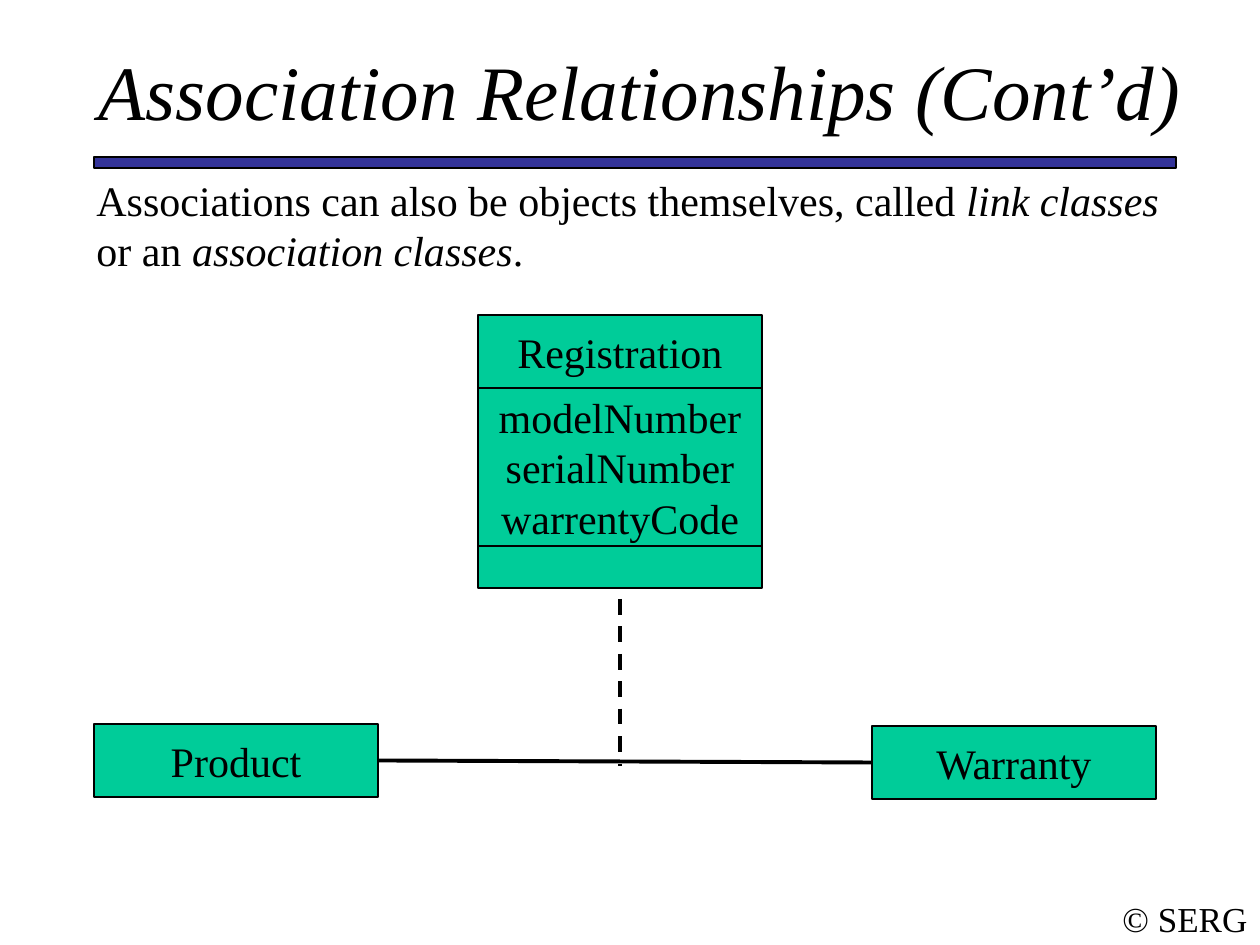
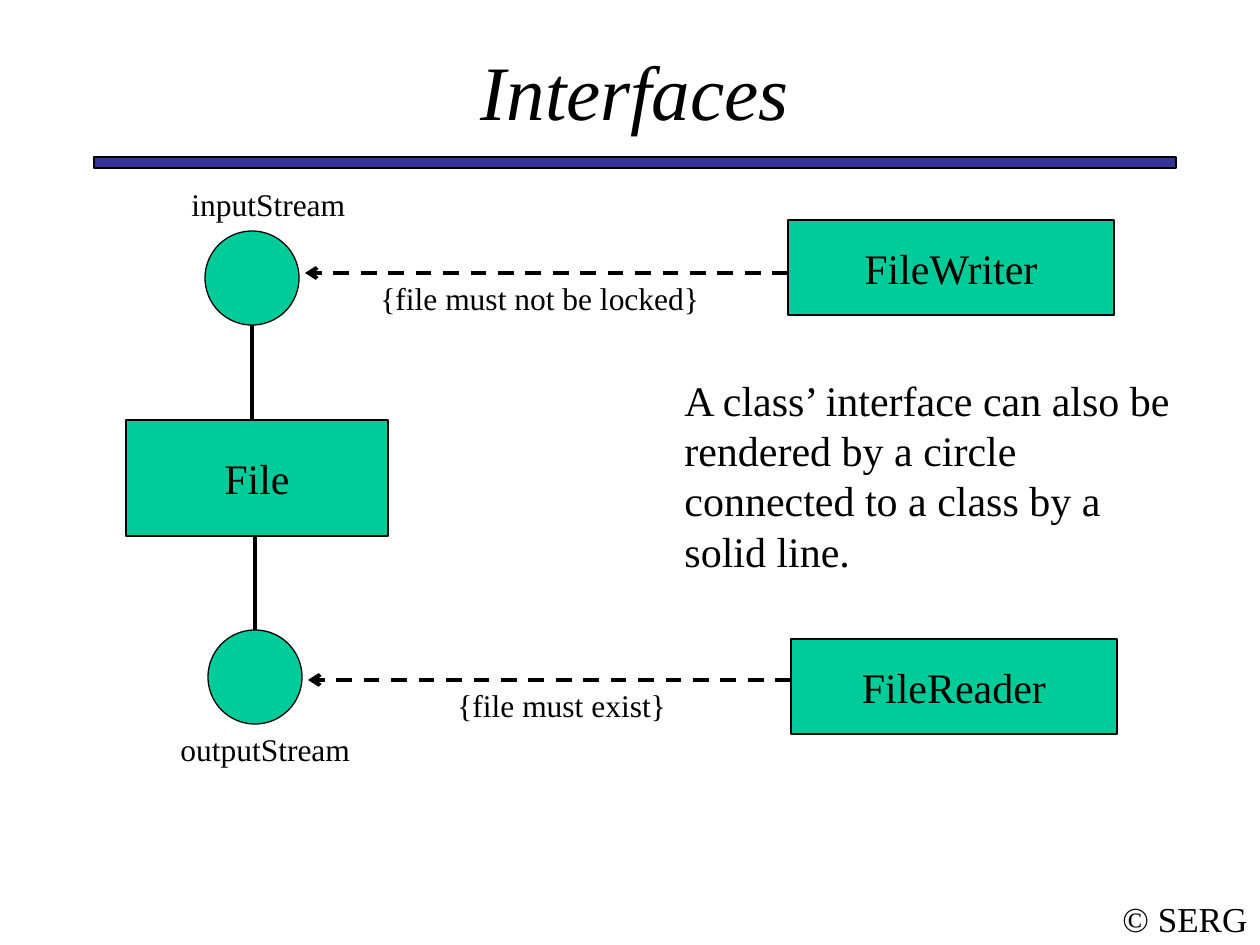
from lxml import etree
from pptx import Presentation
from pptx.dml.color import RGBColor
from pptx.enum.dml import MSO_LINE
from pptx.enum.shapes import MSO_CONNECTOR, MSO_SHAPE
from pptx.enum.text import MSO_ANCHOR, MSO_AUTO_SIZE, PP_ALIGN
from pptx.oxml.ns import qn
from pptx.util import Pt

RECT, OVAL = MSO_SHAPE.RECTANGLE, MSO_SHAPE.OVAL
STRAIGHT, DASH = MSO_CONNECTOR.STRAIGHT, MSO_LINE.DASH
LEFT, CENTER = PP_ALIGN.LEFT, PP_ALIGN.CENTER
TOP, MIDDLE = MSO_ANCHOR.TOP, MSO_ANCHOR.MIDDLE
FIXED, GROW = MSO_AUTO_SIZE.NONE, MSO_AUTO_SIZE.SHAPE_TO_FIT_TEXT
LEFT_SIDE, RIGHT_SIDE = 1, 3
EMU_PER_PX = 914400 / 126

THEME = {
    "font": "Times New Roman",
    "ink": RGBColor(0x00, 0x00, 0x00),
    "bar": RGBColor(0x33, 0x33, 0x99),
    "node": RGBColor(0x00, 0xCC, 0x99),
    "title": Pt(44), "body": Pt(24), "footer": Pt(20), "label": Pt(18),
    "outline": Pt(0.75), "link": Pt(2.25),
}
TITLE_FORMAT = {"word_wrap": True, "auto_size": FIXED, "vertical_anchor": MIDDLE}
NODE_FORMAT = {"word_wrap": False, "auto_size": FIXED, "vertical_anchor": MIDDLE}
TEXT_FORMAT = {"word_wrap": True, "auto_size": GROW, "vertical_anchor": TOP}
FOOTER_FORMAT = {"word_wrap": False, "auto_size": GROW, "vertical_anchor": MIDDLE}


def px(*lengths):
    return [round(length * EMU_PER_PX) for length in lengths]


def write(shape, paras, size, align, frame_format, italic=False):
    """Each para is a list of spans; every second span switches the slant."""
    frame = shape.text_frame
    for name, value in frame_format.items():
        setattr(frame, name, value)
    for number, spans in enumerate(paras):
        para = frame.add_paragraph() if number else frame.paragraphs[0]
        para.alignment = align
        for index, text in enumerate(spans):
            span = para.add_run()
            span.text = text
            span.font.color.rgb = THEME["ink"]
            font_format = {"name": THEME["font"], "size": THEME[size],
                           "italic": italic != bool(index % 2)}
            for name, value in font_format.items():
                setattr(span.font, name, value)


# Registration class: three compartments stacked without gaps
registration_parts = []
part_top = 315
for height, lines in [
    (73, ["Registration"]),
    (158, ["modelNumber", "serialNumber", "warrentyCode"]),
    (42, []),
]:
    registration_parts.append((RECT, (478, part_top, 284, height), lines))
    part_top += height

# Nodes: shape, position, lines. Links: start, end, dashed, arrow, joined nodes
association_slide = {
    "title": ("Association Relationships (Cont’d)", (84, 53, 1113, 73)),
    "texts": [
        ((84, 168, 1118, 113), "body",
         ["Associations can also be objects themselves, called ", "link classes",
          " or an ", "association classes", "."]),
    ],
    "nodes": [
        (RECT, (94, 724, 284, 73), ["Product"]),
        (RECT, (872, 726, 284, 73), ["Warranty"]),
        *registration_parts,
    ],
    "links": [
        ((378, 763), (872, 763), False, False, (0, 1)),
        ((620, 599), (620, 766), True, False, None),
    ],
}
interfaces_slide = {
    "title": ("Interfaces", (94, 53, 1082, 73)),
    "texts": [
        ((672, 368, 525, 214), "body",
         ["A class’ interface can also be rendered by a circle "
          "connected to a class by a solid line."]),
        ((168, 724, 210, 50), "label", ["outputStream"]),
        ((179, 179, 210, 50), "label", ["inputStream"]),
        ((368, 273, 399, 50), "label", ["{file must not be locked}"]),
        ((445, 680, 252, 50), "label", ["{file must exist}"]),
    ],
    "nodes": [
        (RECT, (126, 420, 262, 116), ["File"]),
        (OVAL, (205, 231, 94, 94), []),
        (OVAL, (208, 630, 94, 94), []),
        (RECT, (788, 220, 326, 95), ["FileWriter"]),
        (RECT, (791, 639, 326, 95), ["FileReader"]),
    ],
    "links": [
        ((252, 325), (252, 420), False, False, None),
        ((255, 630), (255, 536), False, False, None),
        ((788, 273), (305, 273), True, True, None),
        ((791, 680), (308, 680), True, True, None),
    ],
}

deck = Presentation()
deck.slide_width, deck.slide_height = px(1260, 945)
title_only = deck.slide_layouts[5]

for content in (association_slide, interfaces_slide):
    page = deck.slides.add_slide(title_only)

    # Title
    title_text, title_place = content["title"]
    title = page.shapes.title
    title.left, title.top, title.width, title.height = px(*title_place)
    write(title, [[title_text]], "title", CENTER, TITLE_FORMAT, italic=True)

    # Footer
    footer = page.shapes.add_textbox(*px(1110, 891, 150, 54))
    write(footer, [["© SERG"]], "footer", CENTER, FOOTER_FORMAT)

    # Bar under the title, then the diagram's nodes
    bar = (RECT, (94, 157, 1082, 11), [])
    nodes = []
    for kind, place, lines in [bar, *content["nodes"]]:
        node = page.shapes.add_shape(kind, *px(*place))
        node.shadow.inherit = False
        node.fill.solid()
        node.fill.fore_color.rgb = THEME["node" if nodes else "bar"]
        node.line.color.rgb = THEME["ink"]
        node.line.width = THEME["outline"]
        write(node, [[line] for line in lines], "body", CENTER, NODE_FORMAT)
        nodes.append(node)
    classes = nodes[1:]

    # Links between nodes
    for start, end, dashed, arrow, joined in content["links"]:
        link = page.shapes.add_connector(STRAIGHT, *px(*start, *end))
        if joined:
            link.begin_connect(classes[joined[0]], RIGHT_SIDE)
            link.end_connect(classes[joined[1]], LEFT_SIDE)
        link.line.color.rgb = THEME["ink"]
        link.line.width = THEME["link"]
        if dashed:
            link.line.dash_style = DASH
        properties = link.element.spPr
        if arrow:
            etree.SubElement(properties.find(qn("a:ln")), qn("a:tailEnd"), type="arrow")
        etree.SubElement(properties, qn("a:effectLst"))

    # Explanations and labels
    for place, size, spans in content["texts"]:
        box = page.shapes.add_textbox(*px(*place))
        write(box, [spans], size, LEFT, TEXT_FORMAT)

deck.save("out.pptx")
